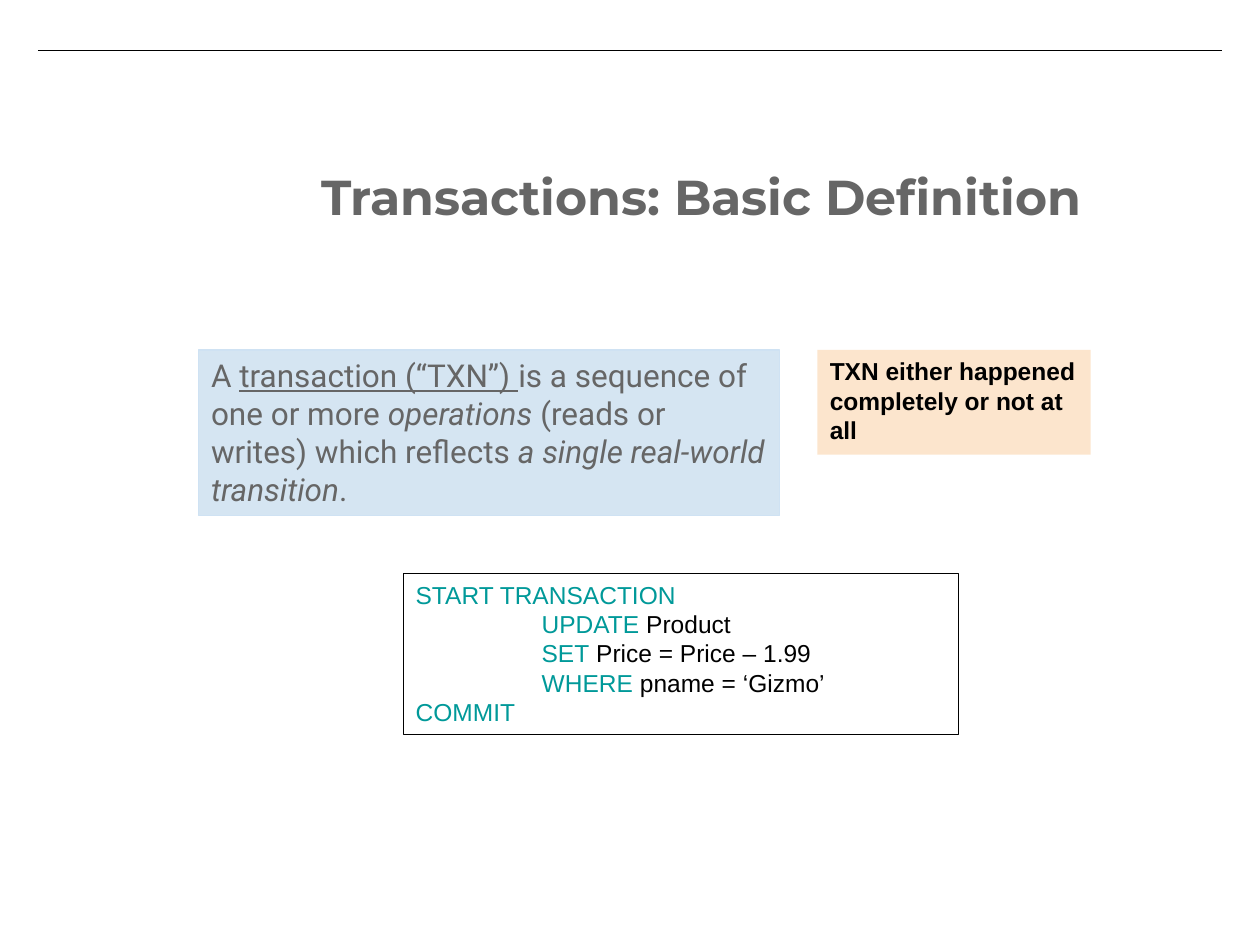
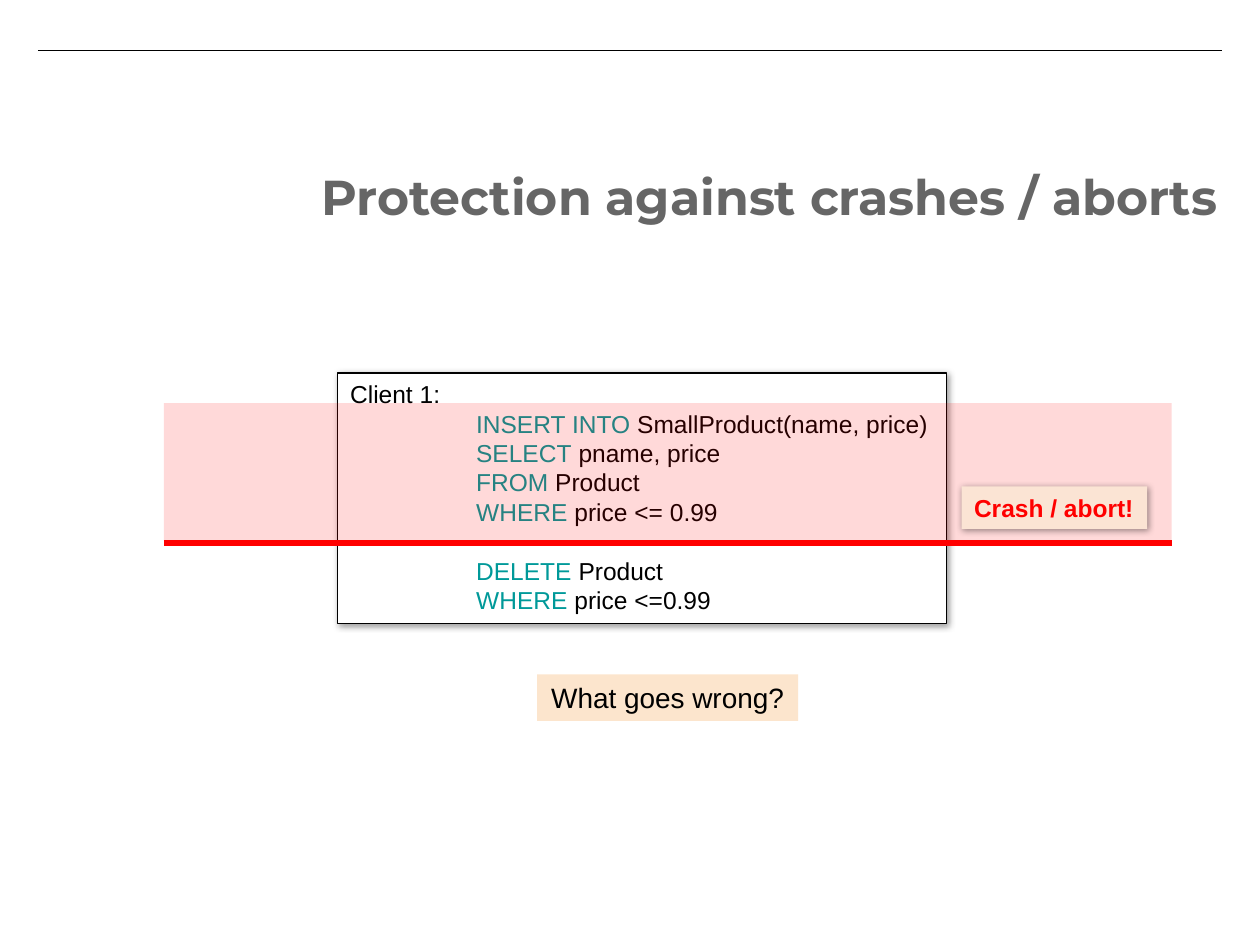
from lxml.etree import SubElement
from pptx import Presentation
from pptx.dml.color import RGBColor
from pptx.enum.shapes import MSO_CONNECTOR, MSO_SHAPE
from pptx.enum.text import MSO_ANCHOR as Anchor, MSO_AUTO_SIZE as AutoSize, PP_ALIGN as Align
from pptx.oxml.ns import qn
from pptx.util import Pt

COLORS = {
    "black": "000000", "white": "FFFFFF", "title": "666666", "keyword": "009999",
    "definition": "D5E5F2", "definition line": "CFE2F3",
    "note": "FCE5CD", "crash label": "FBE4D4", "red": "FF0000",
}
RGB = {name: RGBColor.from_string(value) for name, value in COLORS.items()}
CODE_INDENT = Pt(72)
CODE_LINE = Pt(16.9)


def add_box(slide, place, fill, line=None, shadow=False):
    """Add a filled rectangle, with an optional thin outline and soft shadow."""
    box = slide.shapes.add_shape(MSO_SHAPE.RECTANGLE, *[Pt(length) for length in place])
    box.shadow.inherit = False
    box.fill.solid()
    box.fill.fore_color.rgb = RGB[fill]
    if line:
        box.line.color.rgb = RGB[line]
        box.line.width = Pt(0.75)
    else:
        box.line.fill.background()
    if shadow:
        effects = box._element.spPr.find(qn("a:effectLst"))
        outer = SubElement(effects, qn("a:outerShdw"), blurRad=str(Pt(4)), dist=str(Pt(1)),
                           dir="2700000", algn="ctr", rotWithShape="0")
        color = SubElement(outer, qn("a:srgbClr"), val=COLORS["black"])
        SubElement(color, qn("a:alpha"), val="40000")
    return box


def write_text(box, lines, size=14, font="Arial", color="black", bold=False, wrap=True):
    """Write lines of (text, style) runs; a line that opens with a keyword and goes on is indented."""
    frame = box.text_frame
    frame.word_wrap = wrap
    frame.vertical_anchor = Anchor.TOP
    frame.auto_size = AutoSize.NONE
    for number, runs in enumerate(lines):
        paragraph = frame.add_paragraph() if number else frame.paragraphs[0]
        if len(runs) > 1 and runs[0][1] == "keyword":
            paragraph._p.get_or_add_pPr().set("marL", str(CODE_INDENT))
        paragraph.alignment = Align.LEFT
        paragraph.font.name = font
        paragraph.font.size = Pt(size)
        paragraph.font.bold = bold
        paragraph.font.color.rgb = RGB[color]
        for text, style in runs:
            run = paragraph.add_run()
            run.text = text
            if style == "keyword":
                run.font.color.rgb = RGB["keyword"]
            elif style == "italic":
                run.font.italic = True
            elif style == "underline":
                run.font.underline = True
    return frame


presentation = Presentation()
presentation.slide_width = Pt(720)
presentation.slide_height = Pt(540)
title_only = presentation.slide_layouts[5]

# Slides with their titles
for text, width in [("Transactions: Basic Definition", 526.3),
                    ("Protection against crashes / aborts", 534.2)]:
    slide = presentation.slides.add_slide(title_only)
    title = slide.shapes.title
    title.left, title.top, title.width, title.height = Pt(176.4), Pt(87.8), Pt(width), Pt(91.4)
    frame = write_text(title, [[(text, None)]], 28, "Montserrat", "title", bold=True)
    frame.margin_left = frame.margin_right = frame.margin_top = frame.margin_bottom = Pt(7.2)
definition_slide, crash_slide = presentation.slides

# Definition of a transaction
definition = add_box(definition_slide, (113.5, 200, 331.92, 94.5), "definition", "definition line")
write_text(definition, [[
    ("A ", None), ("transaction (“TXN”) ", "underline"),
    ("is a sequence of one or more ", None), ("operations", "italic"),
    (" (reads or writes) which reflects ", None),
    ("a single real-world transition", "italic"), (".", None),
]], 18, "Roboto", "title")

# Transaction in SQL
transaction = add_box(definition_slide, (230.4, 327.6, 317.5, 92.2), "white", "black")
write_text(transaction, [
    [("START TRANSACTION", "keyword")],
    [("UPDATE", "keyword"), (" Product", None)],
    [("SET", "keyword"), (" Price = Price – 1.99", None)],
    [("WHERE", "keyword"), (" pname = ‘Gizmo’", None)],
    [("COMMIT", "keyword")],
])

# Note on atomicity
atomicity = add_box(definition_slide, (467.1, 200, 156.2, 59.8), "note")
write_text(atomicity, [[("TXN either happened completely or not at all", None)]], bold=True)

# Client session, with a gap before the second statement
client = add_box(crash_slide, (193, 213.1, 347.8, 143.3), "white", "black", shadow=True)
frame = write_text(client, [
    [("Client 1:", None)],
    [("INSERT INTO", "keyword"), (" SmallProduct(name, price)", None)],
    [("SELECT", "keyword"), (" pname, price", None)],
    [("FROM", "keyword"), (" Product", None)],
    [("WHERE", "keyword"), (" price <= 0.99", None)],
    [("DELETE", "keyword"), (" Product", None)],
    [("WHERE", "keyword"), (" price <=0.99", None)],
])
frame.paragraphs[5].space_before = CODE_LINE

# Translucent band over the part that ran before the crash
band = add_box(crash_slide, (93.6, 230.4, 576, 79.2), "red")
band_color = band._element.spPr.find(qn("a:solidFill")).find(qn("a:srgbClr"))
SubElement(band_color, qn("a:alpha"), val="15000")

# Question and crash label
question = add_box(crash_slide, (306.9, 385.4, 149.2, 26.6), "note")
frame = write_text(question, [[("What goes wrong?", None)]], 16, wrap=False)
frame.vertical_anchor = Anchor.MIDDLE
frame.paragraphs[0].alignment = Align.CENTER
crash = add_box(crash_slide, (549.5, 278, 106, 24.3), "crash label", shadow=True)
write_text(crash, [[("Crash / abort!", None)]], color="red", bold=True, wrap=False)

# Header rules and crash line
for slide, left, right, height, color, width in [
    (definition_slide, 21.6, 698.4, 28.8, "black", 0.75),
    (crash_slide, 21.6, 698.4, 28.8, "black", 0.75),
    (crash_slide, 93.6, 669.6, 310.2, "red", 3.5),
]:
    rule = slide.shapes.add_connector(MSO_CONNECTOR.STRAIGHT, Pt(left), Pt(height), Pt(right), Pt(height))
    rule.line.color.rgb = RGB[color]
    rule.line.width = Pt(width)
    SubElement(rule._element.spPr, qn("a:effectLst"))

presentation.save("out.pptx")
